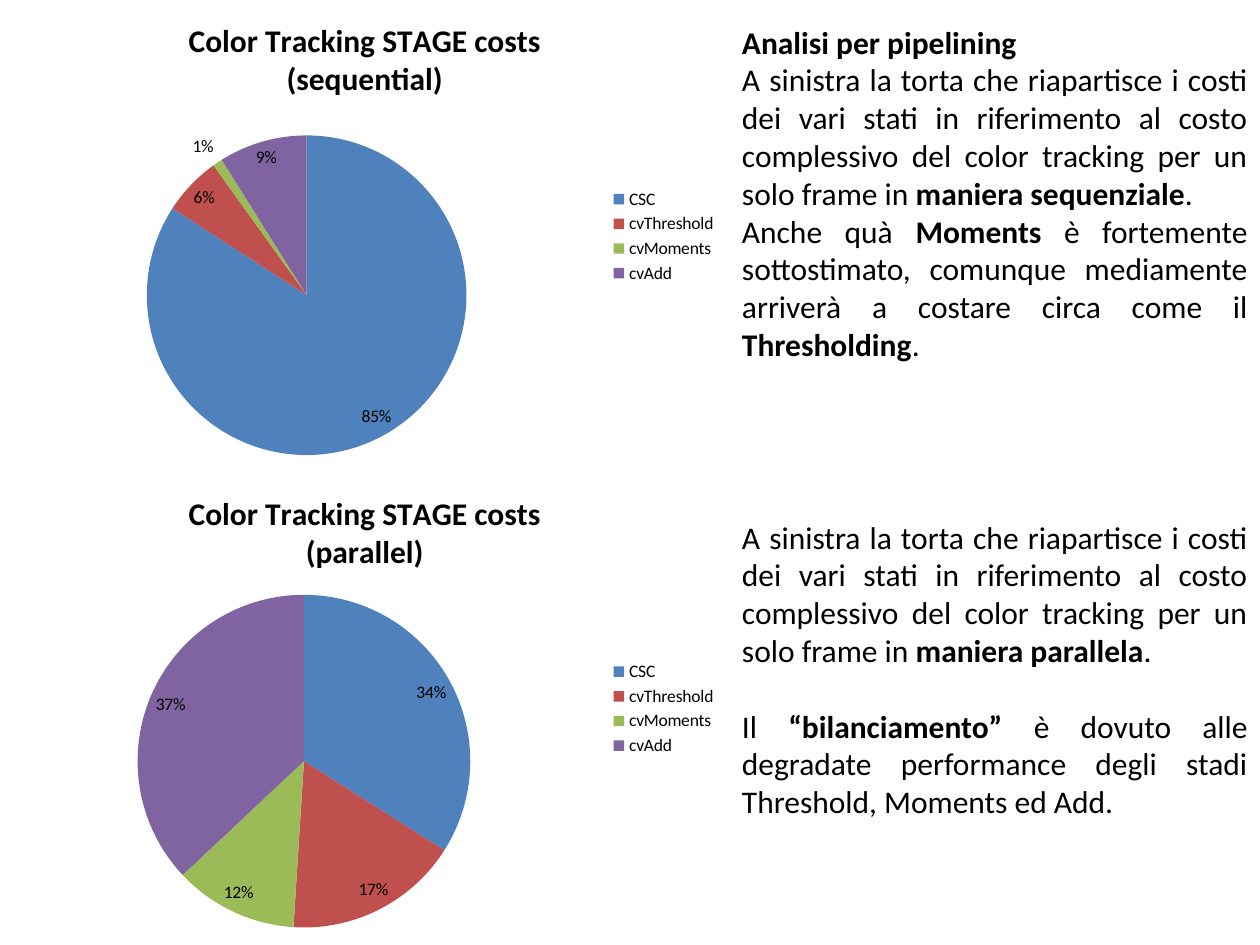
from pptx import Presentation
from pptx.chart.data import CategoryChartData
from pptx.dml.color import RGBColor
from pptx.enum.chart import XL_CHART_TYPE, XL_LABEL_POSITION, XL_LEGEND_POSITION
from pptx.enum.text import PP_ALIGN
from pptx.util import Inches, Pt


def color(code):
    return RGBColor.from_string(code)


class Deck:
    face = "Calibri"
    ink = "000000"
    body = 18
    small = 10
    hues = ("4F81BD", "C0504D", "9BBB59", "8064A2")
    stages = ("CSC", "cvThreshold", "cvMoments", "cvAdd")

    def __init__(self, width, height):
        self.file = Presentation()
        self.file.slide_width = Inches(width)
        self.file.slide_height = Inches(height)
        self.slide = self.file.slides.add_slide(self.file.slide_layouts[6])

    def style(self, font, size, bold=False):
        font.name = self.face
        font.size = Pt(size)
        font.bold = bold
        font.color.rgb = color(self.ink)

    def add_words(self, para, words, bold=False):
        run = para.add_run()
        run.text = words
        self.style(run.font, self.body, bold)

    def text(self, left, top, width, height, paras, gap=0):
        box = self.slide.shapes.add_textbox(
            Inches(left), Inches(top), Inches(width), Inches(height))
        frame = box.text_frame
        frame.word_wrap = True
        for index, runs in enumerate(paras):
            para = frame.add_paragraph() if index else frame.paragraphs[0]
            para.alignment = PP_ALIGN.JUSTIFY
            if index:
                para.space_before = Pt(gap)
            for words, bold in runs:
                self.add_words(para, words, bold)

    def pie(self, left, top, width, height, title, values):
        data = CategoryChartData()
        data.categories = self.stages
        data.add_series("Series 1", values)
        chart = self.slide.shapes.add_chart(
            XL_CHART_TYPE.PIE, Inches(left), Inches(top),
            Inches(width), Inches(height), data).chart
        self.style(chart.font, self.small)

        chart.has_title = True
        frame = chart.chart_title.text_frame
        for index, line in enumerate(title):
            para = frame.add_paragraph() if index else frame.paragraphs[0]
            self.add_words(para, line, True)
        chart.chart_title.include_in_layout = False

        chart.has_legend = True
        chart.legend.position = XL_LEGEND_POSITION.RIGHT
        chart.legend.include_in_layout = False

        plot = chart.plots[0]
        plot.vary_by_categories = True
        for index, hue in enumerate(self.hues):
            fill = plot.series[0].points[index].format.fill
            fill.solid()
            fill.fore_color.rgb = color(hue)
        plot.has_data_labels = True
        labels = plot.data_labels
        labels.show_value = True
        labels.number_format = '0"%"'
        labels.number_format_is_linked = False
        labels.position = XL_LABEL_POSITION.BEST_FIT
        self.style(labels.font, self.small)


def main():
    deck = Deck(10, 7.5)
    split = 5.79
    side = 10 - split
    half = 3.75
    name = "Color Tracking STAGE costs"
    intro = ("A sinistra la torta che riapartisce i costi dei vari stati in "
             "riferimento al costo complessivo del color tracking per un "
             "solo frame in ")

    pies = (("(sequential)", (85, 6, 1, 9)), ("(parallel)", (34, 17, 12, 37)))
    for row, (mode, values) in enumerate(pies):
        deck.pie(0, row * half, split, half, (name, mode), values)

    deck.text(split, 0.13, side, 2.83, (
        (("Analisi per pipelining", True),),
        ((intro, False), ("maniera sequenziale", True), (".", False)),
        (("Anche quà ", False), ("Moments", True),
         (" è fortemente sottostimato, comunque mediamente arriverà a "
          "costare circa come il ", False),
         ("Thresholding", True), (".", False)),
    ))
    deck.text(split, 4.06, side, 3.44, (
        ((intro, False), ("maniera parallela", True), (".", False)),
        (("Il", False), (" “bilanciamento” ", True),
         ("è dovuto alle degradate performance degli stadi Threshold, "
          "Moments ed Add.", False)),
    ), gap=21.6)
    deck.file.save("out.pptx")


if __name__ == "__main__":
    main()
